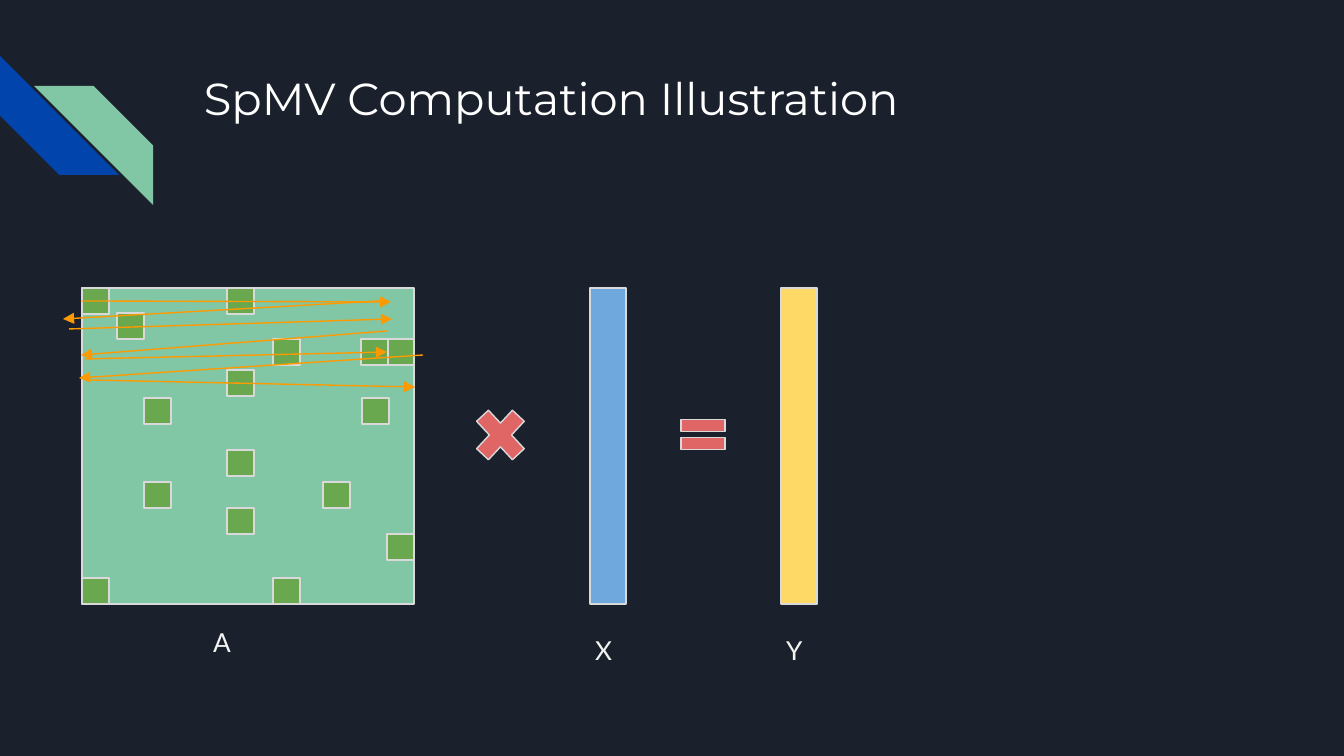
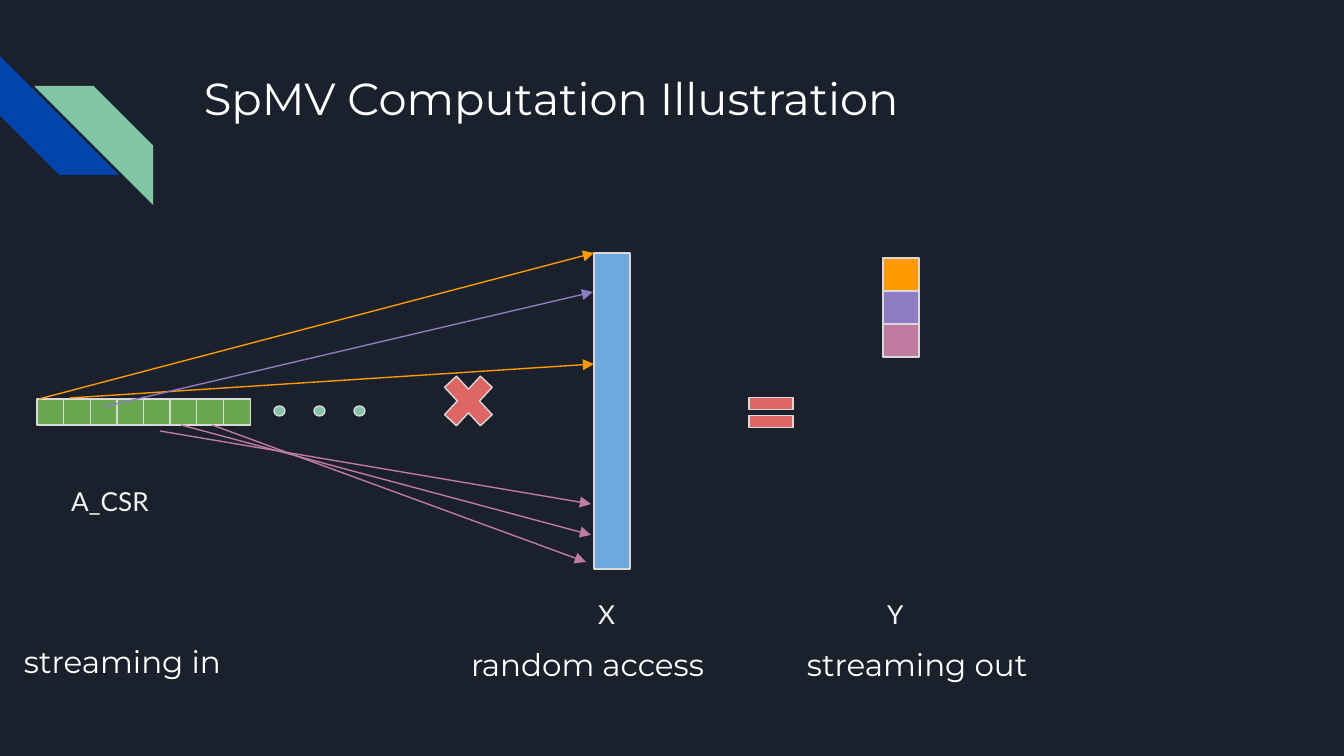
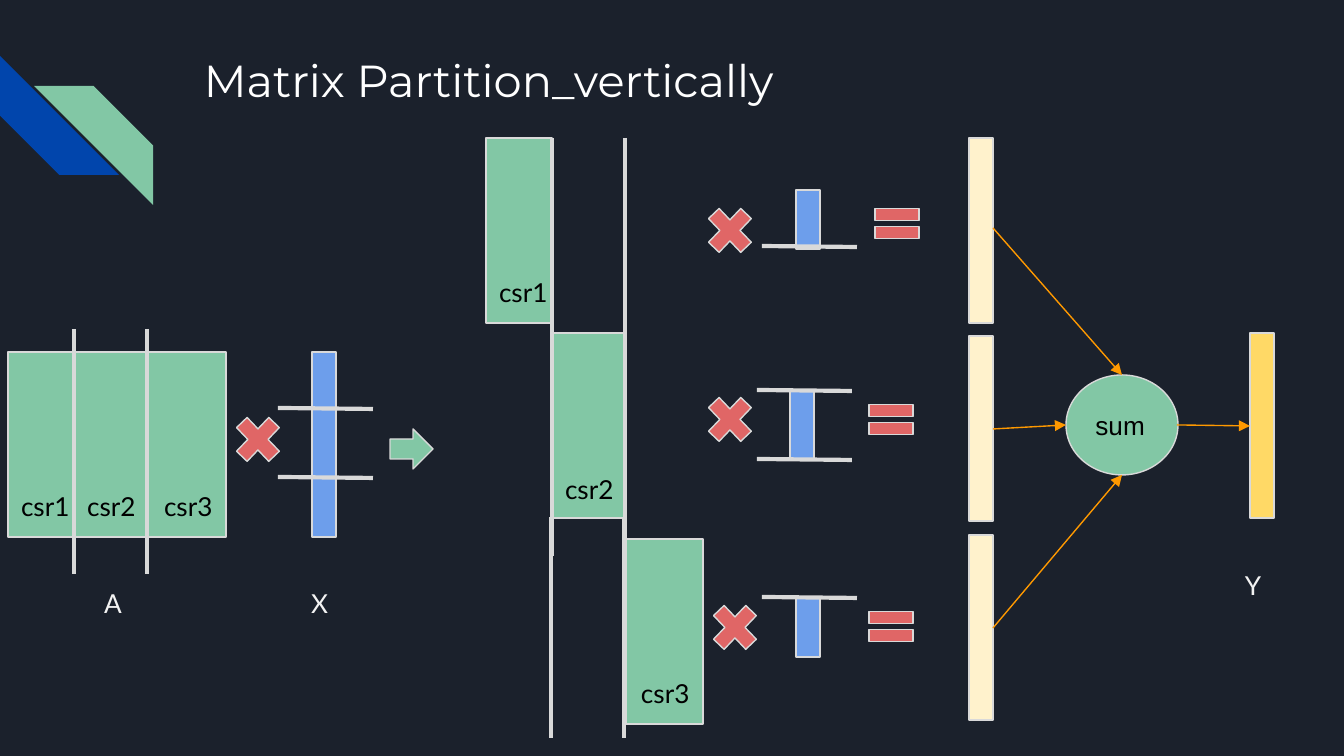
from dataclasses import dataclass
from lxml.etree import SubElement
from pptx import Presentation
from pptx.dml.color import RGBColor
from pptx.enum.shapes import MSO_CONNECTOR, MSO_SHAPE
from pptx.enum.text import MSO_ANCHOR, MSO_AUTO_SIZE, PP_ALIGN
from pptx.oxml.ns import qn
from pptx.util import Emu, Pt


@dataclass(frozen=True)
class Theme:
    ground: str = "1B212C"
    navy: str = "0145AC"
    mint: str = "82C7A5"
    green: str = "6AA84F"
    blue: str = "6FA8DC"
    azure: str = "6D9EEB"
    red: str = "E06666"
    yellow: str = "FFD966"
    cream: str = "FFF2CC"
    orange: str = "FF9900"
    purple: str = "8E7CC3"
    pink: str = "C27BA0"
    edge: str = "D9D9D9"
    white: str = "FFFFFF"
    pale: str = "F3F3F3"
    black: str = "000000"
    head: tuple = ("Montserrat", 24)
    note: tuple = ("Montserrat", 16.6)
    label: tuple = ("Lato", 14)
    body: tuple = ("Arial", 14)
    thin: float = 0.75
    thick: float = 2.25


T = Theme()
SCALE = 914400 / 134.4
PAD = 13
WIDE, HIGH = 1344, 756

# Shared sizes
CELL = (27, 26)
BAR = (36, 316)      # tall vector, slides 1 and 2
SLIM = (24, 185)     # tall vector, slide 3
SIGN = (69, 74)      # large multiply sign
SMALL = (62, 65)     # small multiply sign
EQUAL = (60, 51)
TAG = (54, 59)       # one-letter label
NAME = (77, 59)      # csr label

# Slide 1: sparse matrix, row top -> cell lefts
MATRIX = (82, 288, 332, 316)
CELLS = {288: [82, 227], 313: [117], 339: [273, 387, 361], 370: [227],
         398: [144, 362], 450: [227], 482: [144, 323], 508: [227],
         534: [387], 578: [82, 273]}
SCAN = [(82, 301, 391, 302), (379, 301, 63, 319), (69, 329, 392, 319),
        (387, 331, 81, 355), (85, 359, 387, 352), (423, 355, 79, 378),
        (89, 380, 415, 387)]
TAGS1 = [("A", 200, 613), ("X", 582, 621), ("Y", 773, 621)]

# Slide 2: streams and lookups
LOOKUPS = [(T.orange, [(39, 399, 594, 253), (70, 398, 594, 364)]),
           (T.purple, [(103, 407, 593, 292)]),
           (T.pink, [(160, 431, 591, 504), (181, 425, 591, 535),
                     (212, 425, 586, 562)])]
TAGS2 = [("X", 585, 585), ("Y", 874, 585)]
NOTES = [("streaming in", 11, 630, 294), ("random access", 458, 633, 262),
         ("streaming out", 794, 633, 327)]

# Slide 3: one entry for each vertical part
PARTS = [
    dict(name="csr1", block=(486, 138, 66), rails=(552, 138, 360),
         tag=(486, 263), piece=(796, 190, 59), cuts=[(762, 246)],
         times=(699, 198), equal=(867, 198), out=138),
    dict(name="csr2", block=(552, 333, 72), rails=(552, 312, 556),
         tag=(552, 460), piece=(790, 390, 70), cuts=[(757, 390), (757, 459)],
         times=(699, 387), equal=(861, 394), out=336),
    dict(name="csr3", block=(626, 539, 77), rails=(551, 517, 738),
         tag=(628, 664), piece=(796, 598, 59), cuts=[(762, 597)],
         times=(704, 595), equal=(861, 601), out=535),
]
NAMES = [("csr1", 8), ("csr2", 74), ("csr3", 151)]
FLOWS = [(993, 228, 1122, 375), (993, 628, 1122, 475),
         (993, 429, 1066, 425), (1177, 425, 1250, 426)]
RAIL = 73            # gap between the two cut lines
CUT = 95             # length of a cut across X


def px(*nums):
    return [Emu(round(n * SCALE)) for n in nums]


def tint(code):
    return RGBColor.from_string(code)


def write(shape, text, style, ink):
    frame = shape.text_frame
    frame.text = text
    frame.word_wrap = True
    frame.margin_left = frame.margin_right = px(PAD)[0]
    frame.margin_top = frame.margin_bottom = px(PAD)[0]
    line = frame.paragraphs[0]
    line.alignment = PP_ALIGN.LEFT
    font = line.runs[0].font
    font.name, font.size = style[0], Pt(style[1])
    font.color.rgb = tint(ink)
    return frame


def words(slide, text, box, style, ink, grow=False):
    frame = write(slide.shapes.add_textbox(*px(*box)), text, style, ink)
    frame.vertical_anchor = MSO_ANCHOR.TOP
    if grow:
        frame.auto_size = MSO_AUTO_SIZE.SHAPE_TO_FIT_TEXT


def label(slide, text, x, y, size=TAG, ink=T.pale):
    words(slide, text, (x, y, *size), T.label, ink, grow=True)


def draw(slide, kind, box, fill, adjust=(), edge=True):
    shape = slide.shapes.add_shape(kind, *px(*box))
    shape.shadow.inherit = False
    shape.fill.solid()
    shape.fill.fore_color.rgb = tint(fill)
    for i, value in enumerate(adjust):
        shape.adjustments[i] = value
    if edge:
        shape.line.color.rgb = tint(T.edge)
        shape.line.width = Pt(T.thin)
    else:
        shape.line.fill.background()
    return shape


def rect(slide, box, fill):
    draw(slide, MSO_SHAPE.RECTANGLE, box, fill)


def times(slide, x, y, size=SIGN):
    draw(slide, MSO_SHAPE.MATH_MULTIPLY, (x, y, *size), T.red, [0.235])


def equal(slide, x, y):
    draw(slide, MSO_SHAPE.MATH_EQUAL, (x, y, *EQUAL), T.red, [0.235, 0.118])


def line(slide, ends, ink=T.edge, width=T.thick):
    link = slide.shapes.add_connector(MSO_CONNECTOR.STRAIGHT, *px(*ends))
    link.line.color.rgb = tint(ink)
    link.line.width = Pt(width)
    SubElement(link.element.spPr, qn("a:effectLst"))
    return link


def arrow(slide, ends, ink=T.orange):
    link = line(slide, ends, ink, T.thin)
    SubElement(link.line._get_or_add_ln(), qn("a:tailEnd"), type="triangle")


def rails(slide, x, top, end):
    for left in (x + RAIL, x):
        line(slide, (left, top, left, end))


def cut(slide, x, y):
    line(slide, (x, y, x + CUT, y + 1))


def start(deck, title, top=58):
    """Add a slide with the corner stripes and its title."""
    slide = deck.slides.add_slide(deck.slide_layouts[6])
    for x, y, turn, fill in ((0, 56, 270, T.navy), (34, 86, 90, T.mint)):
        stripe = draw(slide, MSO_SHAPE.DIAGONAL_STRIPE, (x, y, 119, 119),
                      fill, [0.5], edge=False)
        stripe.rotation = turn
    words(slide, title, (191, top, 1035, 134), T.head, T.white)
    return slide


def scan(deck):
    slide = start(deck, "SpMV Computation Illustration")
    # Matrix times vector
    rect(slide, MATRIX, T.mint)
    rect(slide, (590, 288, *BAR), T.blue)
    times(slide, 466, 398)
    rect(slide, (781, 288, *BAR), T.yellow)
    equal(slide, 673, 409)
    for tag in TAGS1:
        label(slide, *tag)
    # Filled cells and reading order
    for y, row in CELLS.items():
        for x in row:
            rect(slide, (x, y, *CELL), T.green)
    for ends in SCAN:
        arrow(slide, ends)


def stream(deck):
    slide = start(deck, "SpMV Computation Illustration")
    # Vector and signs
    rect(slide, (594, 253, *BAR), T.blue)
    times(slide, 434, 364)
    equal(slide, 741, 387)
    label(slide, "A_CSR", 58, 472, (106, 59))
    for tag in TAGS2:
        label(slide, *tag)
    # Packed cells, then dots
    for i in range(8):
        rect(slide, (37 + i * 213 / 8, 399, *CELL), T.green)
    for i in range(3):
        draw(slide, MSO_SHAPE.OVAL, (274 + 40 * i, 406, 11, 10), T.mint)
    # Lookups in X, one colour for each cell of Y
    for i, (ink, paths) in enumerate(LOOKUPS):
        for ends in paths:
            arrow(slide, ends, ink)
        rect(slide, (883, 258 + 33 * i, 36, 33), ink)
    for text, x, y, width in NOTES:
        words(slide, text, (x, y, width, 82), T.note, T.white)


def split(deck):
    slide = start(deck, "Matrix Partition_vertically", 40)
    tall = SLIM[1]
    # Whole matrix and vector with cut lines
    rect(slide, (8, 352, 218, tall), T.mint)
    rails(slide, 74, 329, 574)
    for text, x in NAMES:
        label(slide, text, x, 477, NAME, T.black)
    rect(slide, (312, 352, *SLIM), T.azure)
    for y in (408, 477):
        cut(slide, 278, y)
    times(slide, 227, 407, SMALL)
    draw(slide, MSO_SHAPE.RIGHT_ARROW, (390, 429, 43, 40), T.mint, [0.5, 0.5])
    # Parts and their products
    for part in PARTS:
        x, y, width = part["block"]
        rect(slide, (x, y, width, tall), T.mint)
        rails(slide, *part["rails"])
        label(slide, part["name"], *part["tag"], NAME, T.black)
        x, y, height = part["piece"]
        rect(slide, (x, y, SLIM[0], height), T.azure)
        for spot in part["cuts"]:
            cut(slide, *spot)
        times(slide, *part["times"], SMALL)
        equal(slide, *part["equal"])
        rect(slide, (969, part["out"], *SLIM), T.cream)
    # Sum into Y
    rect(slide, (1250, 333, *SLIM), T.yellow)
    total = draw(slide, MSO_SHAPE.OVAL, (1066, 375, 112, 100), T.mint)
    frame = write(total, "sum", T.body, T.black)
    frame.vertical_anchor = MSO_ANCHOR.MIDDLE
    for ends in FLOWS:
        arrow(slide, ends)
    label(slide, "Y", 1232, 556)
    for text, x in (("A", 91), ("X", 298)):
        label(slide, text, x, 574, (28, 59))


deck = Presentation()
deck.slide_width, deck.slide_height = px(WIDE, HIGH)
ground = deck.slide_master.background.fill
ground.solid()
ground.fore_color.rgb = tint(T.ground)
for build in (scan, stream, split):
    build(deck)
deck.save("out.pptx")
